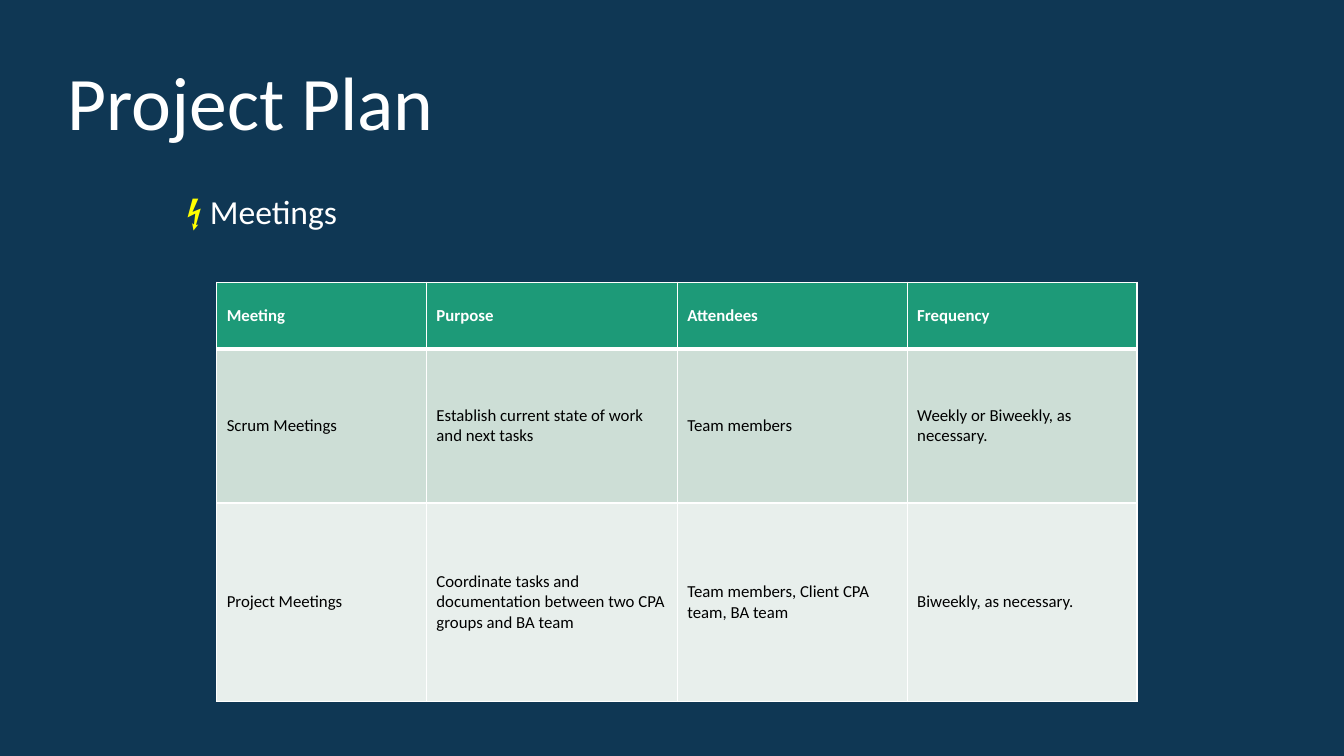
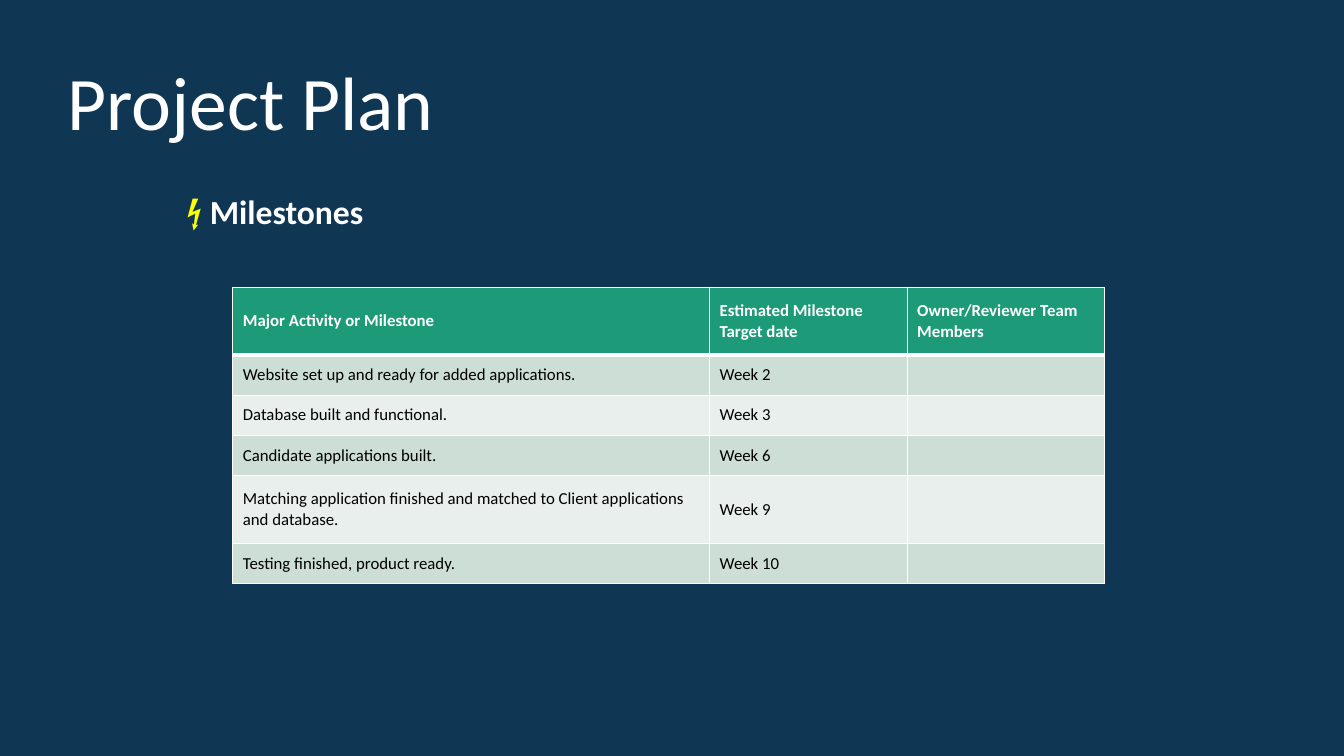
from lxml import etree
from pptx import Presentation
from pptx import util as u
from pptx.dml.color import RGBColor
from pptx.enum import text
from pptx.oxml import ns

PX = 9144  # EMU in one px, at 100 px to the inch
NAVY, GREEN, MINT, PALE = "0F3754", "1D9A78", "CDDED6", "E8EFEC"
WHITE, BLACK, YELLOW = "FFFFFF", "000000", "FFFF00"
FRAME = {"word_wrap": True, "auto_size": text.MSO_AUTO_SIZE.NONE,
         "vertical_anchor": text.MSO_ANCHOR.TOP}
PARAGRAPH = {"alignment": text.PP_ALIGN.LEFT, "space_before": u.Pt(0)}

PAGES = [
    {"heading": "Meetings", "bold": False, "left": 215, "top": 280,
     "columns": [208, 249, 228, 228], "rows": [66, 153, 197],
     "cells": [
         ["Meeting", "Purpose", "Attendees", "Frequency"],
         ["Scrum Meetings", "Establish current state of work and next tasks",
          "Team members", "Weekly or Biweekly, as necessary."],
         ["Project Meetings",
          "Coordinate tasks and documentation between two CPA groups and BA team",
          "Team members, Client CPA team, BA team", "Biweekly, as necessary."]]},
    {"heading": "Milestones", "bold": True, "left": 231, "top": 285,
     "columns": [473, 196, 196], "rows": [67, 40, 40, 40, 67, 40],
     "cells": [
         ["Major Activity or Milestone", "Estimated Milestone Target date",
          "Owner/Reviewer Team Members"],
         ["Website set up and ready for added applications.", "Week 2", ""],
         ["Database built and functional.", "Week 3", ""],
         ["Candidate applications built.", "Week 6", ""],
         ["Matching application finished and matched to Client applications and database.",
          "Week 9", ""],
         ["Testing finished, product ready.", "Week 10", ""]]},
]


def write(para, words, size, color, bold=False):
    span = para.add_run()
    span.text = words
    for name, value in {"name": "Calibri", "size": u.Pt(size), "bold": bold}.items():
        setattr(span.font, name, value)
    span.font.color.rgb = RGBColor.from_string(color)


def add_borders(cell, widths):
    """Draw white cell borders; widths maps a side (L, R, T, B) to points."""
    for side, points in widths.items():
        line = etree.SubElement(cell._tc.get_or_add_tcPr(), ns.qn(f"a:ln{side}"),
                                w=str(u.Pt(points)))
        fill = etree.SubElement(line, ns.qn("a:solidFill"))
        etree.SubElement(fill, ns.qn("a:srgbClr"), val=WHITE)


deck = Presentation()
deck.slide_width, deck.slide_height = 12192000, 750 * PX
background = deck.slide_master.background.fill
background.solid()
background.fore_color.rgb = RGBColor.from_string(NAVY)

# Slides inherit the title and heading places from this layout.
layout = deck.slide_layouts.get_by_name("Title and Content")
PLACES = {0: (57, 49, 605, 101), 1: (175, 184, 775, 80)}
for index, place in PLACES.items():
    holder = layout.placeholders[index]
    for name, length in zip(("left", "top", "width", "height"), place):
        setattr(holder, name, length * PX)

for content in PAGES:
    page = deck.slides.add_slide(layout)
    title, body = page.shapes.title, page.placeholders[1]
    for box in (title, body):
        para = box.text_frame.paragraphs[0]
        for target, values in ((box.text_frame, FRAME), (para, PARAGRAPH)):
            for name, value in values.items():
                setattr(target, name, value)
    write(title.text_frame.paragraphs[0], "Project Plan", 54, WHITE)

    heading = body.text_frame.paragraphs[0]
    properties = heading._p.get_or_add_pPr()
    properties.set("marL", "0")
    properties.set("indent", "0")
    etree.SubElement(properties, ns.qn("a:buNone"))
    write(heading, "⚡︎ ", 24, YELLOW)
    write(heading, content["heading"], 24, WHITE, content["bold"])

    columns, rows = content["columns"], content["rows"]
    table = page.shapes.add_table(
        len(rows), len(columns), content["left"] * PX, content["top"] * PX,
        sum(columns) * PX, sum(rows) * PX).table
    table.horz_banding = False
    for column, width in zip(table.columns, columns):
        column.width = width * PX
    for number, (row, height) in enumerate(zip(table.rows, rows)):
        row.height = height * PX
        header = number == 0
        shade = GREEN if header else (PALE, MINT)[number % 2]
        widths = {"L": 1, "R": 1, "T": 3 if number == 1 else 1, "B": 3 if header else 1}
        for cell, words in zip(row.cells, content["cells"][number]):
            add_borders(cell, widths)
            cell.fill.solid()
            cell.fill.fore_color.rgb = RGBColor.from_string(shade)
            cell.vertical_anchor = text.MSO_ANCHOR.MIDDLE
            para = cell.text_frame.paragraphs[0]
            if words:
                write(para, words, 12, WHITE if header else BLACK, header)
            else:
                etree.SubElement(para._p, ns.qn("a:endParaRPr"), sz="1200")

deck.save("out.pptx")
